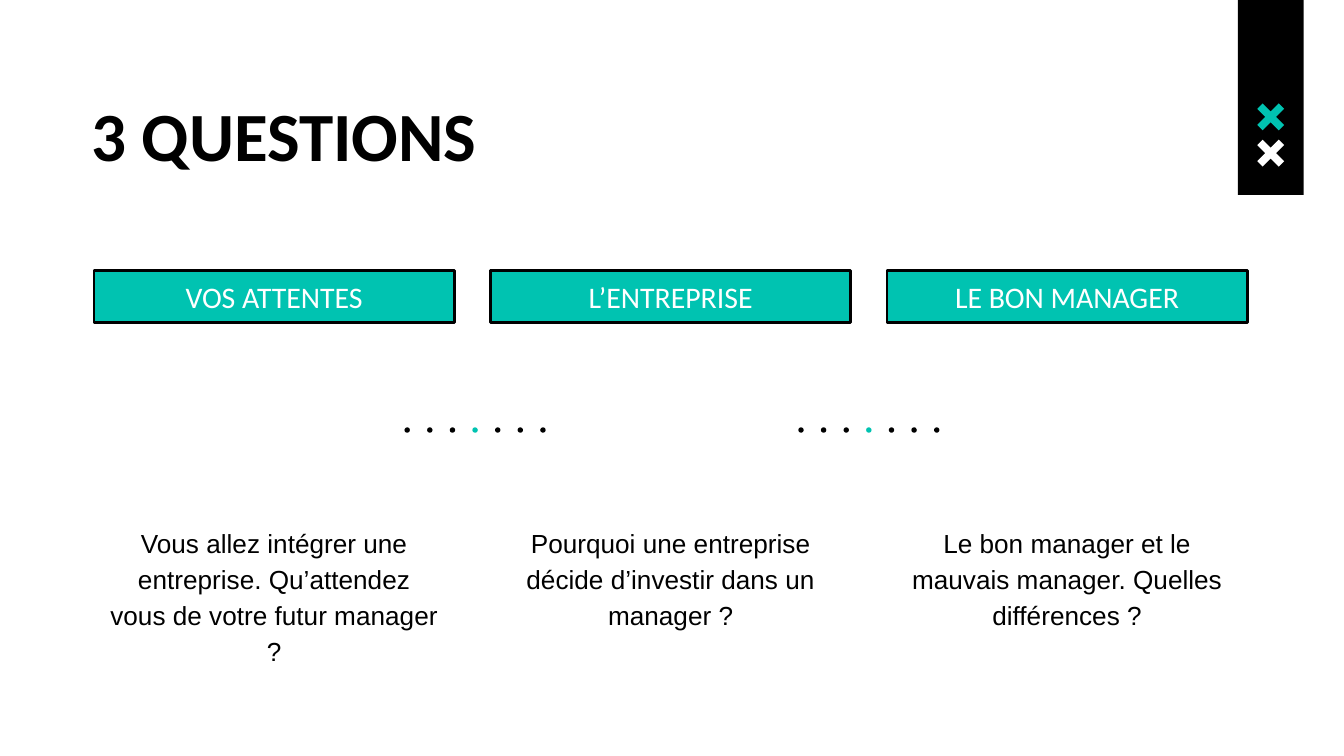
from dataclasses import dataclass

from pptx import Presentation
from pptx.dml.color import RGBColor
from pptx.enum import shapes, text
from pptx.util import Inches, Pt


@dataclass(frozen=True)
class Theme:
    black: str = "000000"
    white: str = "FFFFFF"
    teal: str = "00C3B1"
    heading_font: str = "Calibri"
    body_font: str = "Arial"
    title_size: int = 37
    label_size: int = 16
    body_size: int = 14
    border: float = 1.5


THEME = Theme()

QUESTIONS = [
    ("VOS ATTENTES",
     "Vous allez intégrer une entreprise. Qu’attendez vous de votre futur manager ?"),
    ("L’ENTREPRISE",
     "Pourquoi une entreprise décide d’investir dans un manager ?"),
    ("LE BON MANAGER",
     "Le bon manager et le mauvais manager. Quelles différences ?"),
]

# Outline of a cross in a unit box
CROSS = [(0.2, 0), (0, 0.2), (0.3, 0.5), (0, 0.8), (0.2, 1), (0.5, 0.7),
         (0.8, 1), (1, 0.8), (0.7, 0.5), (1, 0.2), (0.8, 0), (0.5, 0.3)]


def write(holder, content, *, size, font, color=THEME.black, bold=False,
          align=text.PP_ALIGN.CENTER, anchor=text.MSO_ANCHOR.TOP, spacing=1.0):
    frame = holder.text_frame
    frame.word_wrap = True
    frame.auto_size = text.MSO_AUTO_SIZE.NONE
    frame.vertical_anchor = anchor
    frame.margin_left = frame.margin_right = Inches(0.1)
    frame.margin_top = frame.margin_bottom = Inches(0.1)
    line = frame.paragraphs[0]
    line.alignment = align
    line.line_spacing = spacing
    line.space_before = Pt(0)
    run = line.add_run()
    run.text = content
    run.font.size = Pt(size)
    run.font.name = font
    run.font.bold = bold
    run.font.color.rgb = RGBColor.from_string(color)


def paint(part, color, border=None):
    part.shadow.inherit = False
    part.fill.solid()
    part.fill.fore_color.rgb = RGBColor.from_string(color)
    if border:
        part.line.color.rgb = RGBColor.from_string(border)
        part.line.width = Pt(THEME.border)
    else:
        part.line.fill.background()


def add_preset(parent, preset, left, top, width, height, color, border=None):
    part = parent.add_shape(preset, Inches(left), Inches(top),
                            Inches(width), Inches(height))
    paint(part, color, border)
    return part


def add_cross(parent, left, top, side, color):
    points = [(Inches(left + x * side), Inches(top + y * side)) for x, y in CROSS]
    outline = parent.build_freeform(*points[0])
    outline.add_line_segments(points[1:], close=True)
    paint(outline.convert_to_shape(), color)


def add_banner(slide, left, top, width, height):
    add_preset(slide.shapes, shapes.MSO_SHAPE.RECTANGLE,
               left, top, width, height, THEME.black)
    crosses = slide.shapes.add_group_shape().shapes
    side, pitch = 0.2, 0.27
    for row, color in enumerate((THEME.teal, THEME.white)):
        add_cross(crosses, left + (width - side) / 2,
                  top + 0.77 + row * pitch, side, color)


def add_title(slide, left, top, width, height):
    title = slide.shapes.title
    title.left, title.top = Inches(left), Inches(top)
    title.width, title.height = Inches(width), Inches(height)
    write(title, "3 QUESTIONS", size=THEME.title_size, font=THEME.heading_font,
          bold=True, align=text.PP_ALIGN.LEFT)


def add_question(slide, left, top, width, label, question):
    heading = add_preset(slide.shapes, shapes.MSO_SHAPE.RECTANGLE,
                         left, top, width, 0.39, THEME.teal, THEME.black)
    write(heading, label, size=THEME.label_size, font=THEME.heading_font,
          color=THEME.white, anchor=text.MSO_ANCHOR.MIDDLE)
    body = slide.shapes.add_textbox(Inches(left), Inches(top + 1.78),
                                    Inches(width), Inches(0.86))
    write(body, question, size=THEME.body_size, font=THEME.body_font, spacing=1.15)


def add_dots(slide, left, top, width, diameter, count=7):
    dots = slide.shapes.add_group_shape().shapes
    pitch = (width - diameter) / (count - 1)
    for index in range(count):
        color = THEME.teal if index == count // 2 else THEME.black
        add_preset(dots, shapes.MSO_SHAPE.OVAL, left + index * pitch, top,
                   diameter, diameter, color)


def main():
    deck = Presentation()
    # 16:9 page
    deck.slide_width = Inches(10)
    deck.slide_height = deck.slide_width * 9 // 16
    slide = deck.slides.add_slide(deck.slide_layouts.get_by_name("Title Only"))

    add_banner(slide, 9.21, 0, 0.49, 1.45)
    add_title(slide, 0.58, 0.59, 8.86, 0.79)

    # Three columns with equal gaps
    column_width, gap = 2.68, 0.27
    for column, (label, question) in enumerate(QUESTIONS):
        add_question(slide, 0.7 + column * (column_width + gap), 2.01,
                     column_width, label, question)

    # Dotted separators between the columns
    for left in (3.01, 5.94):
        add_dots(slide, left, 3.18, 1.05, 0.04)

    deck.save("out.pptx")


if __name__ == "__main__":
    main()
